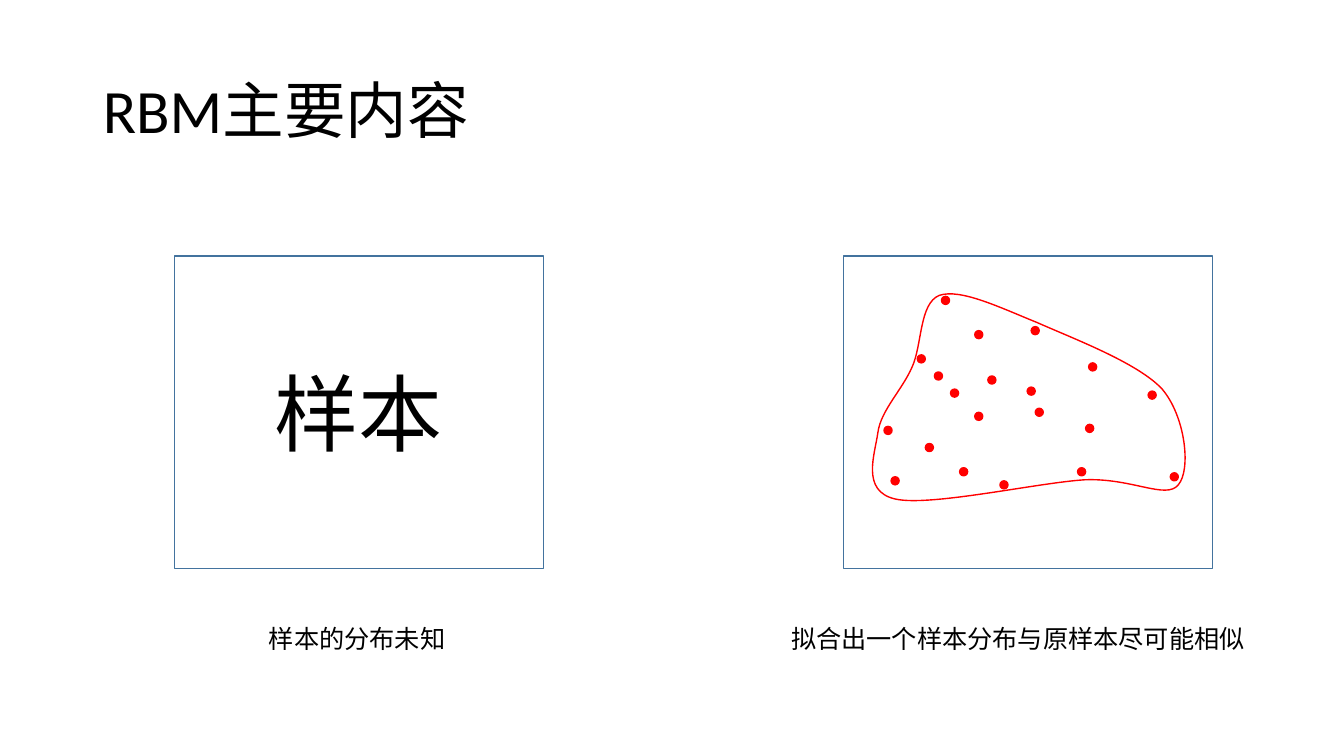
from dataclasses import dataclass
from typing import NamedTuple

from lxml.etree import SubElement
from pptx import Presentation
from pptx.dml.color import RGBColor
from pptx.enum.shapes import MSO_SHAPE
from pptx.enum.text import MSO_ANCHOR, MSO_AUTO_SIZE, PP_ALIGN
from pptx.oxml.ns import qn
from pptx.util import Emu, Pt

PX = 9144
HIGH = 750


@dataclass(frozen=True)
class Theme:
    font: str = "Calibri"
    ink: RGBColor = RGBColor(0, 0, 0)
    paper: RGBColor = RGBColor(255, 255, 255)
    edge: RGBColor = RGBColor(0x43, 0x73, 0x9E)
    red: RGBColor = RGBColor(255, 0, 0)
    title: int = 44
    panel: int = 60
    label: int = 18
    line: int = 1


class Box(NamedTuple):
    left: int
    top: int
    width: int
    height: int

    def emu(self) -> list[Emu]:
        return [Emu(v * PX) for v in self]


class Spot(NamedTuple):
    x: int
    y: int


class Bend(NamedTuple):
    first: Spot
    second: Spot
    end: Spot


class Label(NamedTuple):
    box: Box
    text: str


THEME = Theme()
TITLE = Label(Box(92, 40, 1150, 145), "RBM主要内容")
SAMPLE = Label(Box(173, 254, 366, 310), "样本")
MODEL = Label(Box(837, 254, 366, 310), "")
LABELS = [
    Label(Box(257, 613, 197, 40), "样本的分布未知"),
    Label(Box(775, 613, 475, 40), "拟合出一个样本分布与原样本尽可能相似"),
]
REGION = Box(866, 292, 310, 205)
START = Spot(932, 293)
BENDS = [
    Bend(Spot(912, 301), Spot(915, 342), Spot(905, 364)),
    Bend(Spot(895, 387), Spot(874, 407), Spot(871, 429)),
    Bend(Spot(868, 451), Spot(854, 487), Spot(888, 495)),
    Bend(Spot(922, 503), Spot(1029, 479), Spot(1076, 476)),
    Bend(Spot(1123, 474), Spot(1157, 496), Spot(1169, 481)),
    Bend(Spot(1182, 466), Spot(1176, 413), Spot(1153, 386)),
    Bend(Spot(1129, 360), Spot(1065, 336), Spot(1029, 320)),
    Bend(Spot(992, 305), Spot(953, 286), START),
]
DOT = 8
DOTS = [
    Spot(910, 352), Spot(934, 294), Spot(1019, 384), Spot(1023, 324),
    Spot(967, 409), Spot(1069, 464), Spot(884, 473), Spot(918, 440),
    Spot(1077, 421), Spot(992, 477), Spot(1139, 388), Spot(1161, 469),
    Spot(1027, 405), Spot(967, 328), Spot(927, 369), Spot(943, 386),
    Spot(877, 423), Spot(980, 373), Spot(952, 464), Spot(1080, 360),
]


def place(shape, box: Box) -> None:
    shape.left, shape.top, shape.width, shape.height = box.emu()


def paint(shape, fill: RGBColor, line: RGBColor) -> None:
    shape.shadow.inherit = False
    shape.fill.solid()
    shape.fill.fore_color.rgb = fill
    shape.line.color.rgb = line
    shape.line.width = Pt(THEME.line)


def write(frame, text: str, size: int, align: PP_ALIGN) -> None:
    para = frame.paragraphs[0]
    para.alignment = align
    run = para.add_run()
    run.text = text
    run.font.name = THEME.font
    run.font.size = Pt(size)
    run.font.color.rgb = THEME.ink


def add_title(slide, label: Label) -> None:
    title = slide.shapes.title
    place(title, label.box)
    frame = title.text_frame
    frame.auto_size = MSO_AUTO_SIZE.NONE
    frame.vertical_anchor = MSO_ANCHOR.MIDDLE
    write(frame, label.text, THEME.title, PP_ALIGN.LEFT)
    frame.paragraphs[0].line_spacing = 0.9


def add_panel(slide, label: Label) -> None:
    panel = slide.shapes.add_shape(MSO_SHAPE.RECTANGLE, *label.box.emu())
    paint(panel, THEME.paper, THEME.edge)
    if label.text:
        panel.text_frame.vertical_anchor = MSO_ANCHOR.MIDDLE
        write(panel.text_frame, label.text, THEME.panel, PP_ALIGN.CENTER)


def add_label(slide, label: Label) -> None:
    frame = slide.shapes.add_textbox(*label.box.emu()).text_frame
    frame.word_wrap = False
    frame.auto_size = MSO_AUTO_SIZE.SHAPE_TO_FIT_TEXT
    write(frame, label.text, THEME.label, PP_ALIGN.LEFT)


def add_step(track, tag: str, spots: tuple[Spot, ...]) -> None:
    step = SubElement(track, qn(tag))
    for spot in spots:
        x, y = (spot.x - REGION.left) * PX, (spot.y - REGION.top) * PX
        SubElement(step, qn("a:pt"), x=str(x), y=str(y))


def add_region(slide) -> None:
    pen = slide.shapes.build_freeform(START.x, START.y, scale=PX)
    pen.add_line_segments([bend.end for bend in BENDS], close=True)
    region = pen.convert_to_shape()
    place(region, REGION)
    track = next(region.element.iter(qn("a:path")))
    for step in list(track):
        track.remove(step)
    track.set("w", str(REGION.width * PX))
    track.set("h", str(REGION.height * PX))
    add_step(track, "a:moveTo", (START,))
    for bend in BENDS:
        add_step(track, "a:cubicBezTo", bend)
    SubElement(track, qn("a:close"))
    paint(region, THEME.paper, THEME.red)


def add_dot(slide, spot: Spot) -> None:
    box = Box(spot.x, spot.y, DOT, DOT)
    dot = slide.shapes.add_shape(MSO_SHAPE.OVAL, *box.emu())
    paint(dot, THEME.red, THEME.red)


def main() -> None:
    deck = Presentation()
    deck.slide_width = Emu(HIGH * PX * 16 // 9)
    deck.slide_height = Emu(HIGH * PX)
    slide = deck.slides.add_slide(deck.slide_layouts.get_by_name("Title Only"))
    add_title(slide, TITLE)
    add_panel(slide, MODEL)
    add_region(slide)
    add_panel(slide, SAMPLE)
    for spot in DOTS:
        add_dot(slide, spot)
    for label in LABELS:
        add_label(slide, label)
    deck.save("out.pptx")


if __name__ == "__main__":
    main()
